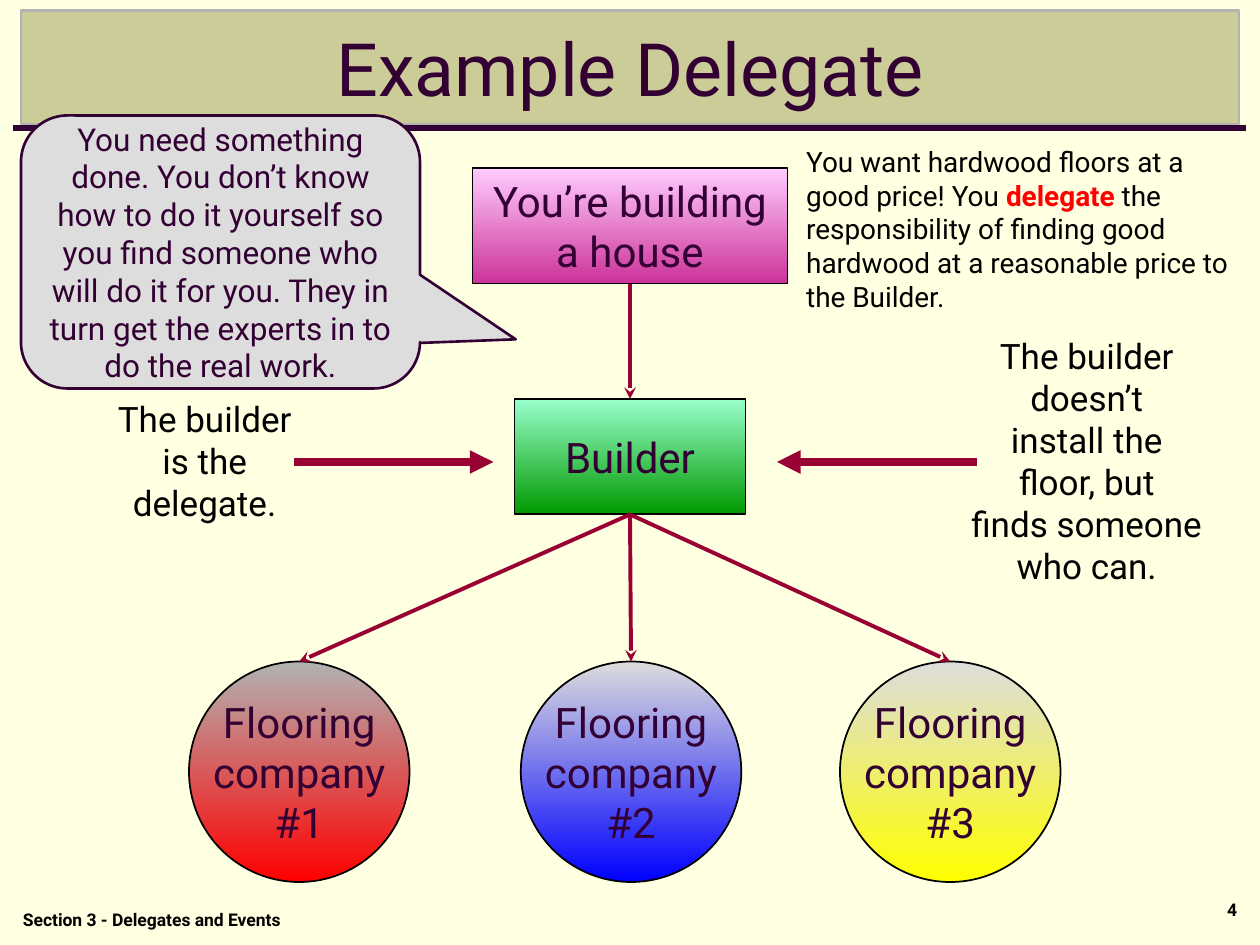
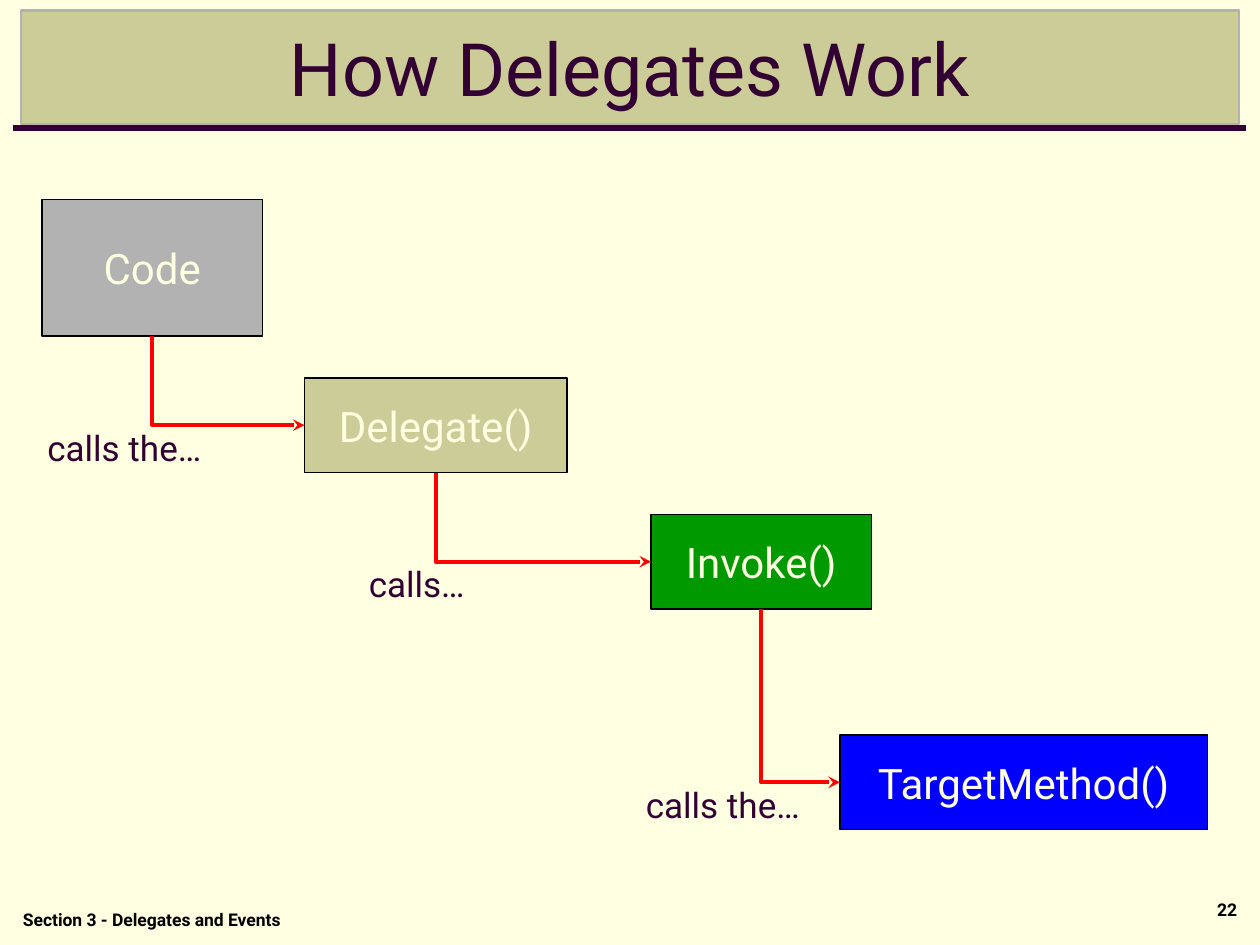
from dataclasses import dataclass
from typing import NamedTuple

from pptx import Presentation
from pptx.dml.color import RGBColor
from pptx.enum.shapes import MSO_CONNECTOR, MSO_SHAPE
from pptx.enum.text import MSO_ANCHOR, MSO_AUTO_SIZE, PP_ALIGN
from pptx.oxml.ns import qn
from pptx.util import Emu, Pt

PX = 7620
TOP, BOTTOM = 0, 2


@dataclass(frozen=True)
class Theme:
    """Colours, font and type sizes of the deck."""
    font: str = "Roboto"
    paper: str = "FFFFE1"
    plum: str = "330033"
    khaki: str = "CCCC99"
    silver: str = "B2B2B2"
    pale: str = "DDDDDD"
    black: str = "000000"
    red: str = "FF0000"
    blue: str = "0000FF"
    yellow: str = "FFFF00"
    green: str = "009900"
    mint: str = "99FFCC"
    pink: str = "FFCCFF"
    magenta: str = "CC3399"
    crimson: str = "990033"
    title: int = 42
    node: int = 24
    label: int = 20
    callout: int = 18
    note: int = 16
    footer: int = 10


T = Theme()


class Box(NamedTuple):
    """A rectangle in px."""
    x: int
    y: int
    w: int
    h: int


class Run(NamedTuple):
    """A piece of text in one format."""
    text: str
    color: str
    bold: bool = False


class Node(NamedTuple):
    """A shape with centred text and one or two fill colours."""
    box: Box
    lines: list[str]
    fill: tuple[str, ...]
    kind: MSO_SHAPE = MSO_SHAPE.RECTANGLE
    ink: str = T.plum
    size: int = T.node
    edge: str = T.black
    weight: float = 1
    wrap: bool = False


class Label(NamedTuple):
    """A text box holding one list of runs per paragraph."""
    box: Box
    paras: list[list[Run]]
    size: int = T.label
    align: PP_ALIGN = PP_ALIGN.CENTER
    wrap: bool = False
    grow: bool = True


def rgb(code: str) -> RGBColor:
    """Turn a hex code into a colour."""
    return RGBColor.from_string(code)


def emu(*lengths: int) -> list[Emu]:
    """Scale px lengths to EMU."""
    return [Emu(round(n * PX)) for n in lengths]


def plain(lines: list[str], color: str) -> list[list[Run]]:
    """Make one single-run paragraph of each line."""
    return [[Run(line, color)] for line in lines]


def write(tf, paras: list[list[Run]], size: int, align: PP_ALIGN) -> None:
    """Fill a text frame run by run."""
    for i, runs in enumerate(paras):
        p = tf.add_paragraph() if i else tf.paragraphs[0]
        p.alignment = align
        for run in runs:
            r = p.add_run()
            r.text = run.text
            r.font.name, r.font.size, r.font.bold = T.font, Pt(size), run.bold
            r.font.color.rgb = rgb(run.color)


def paint(sp, fill: tuple[str, ...], edge: str, weight: float) -> None:
    """Give a shape a solid or top-to-bottom gradient fill and an outline."""
    if len(fill) == 1:
        sp.fill.solid()
        sp.fill.fore_color.rgb = rgb(fill[0])
    else:
        sp.fill.gradient()
        sp.fill.gradient_angle = 270
        for stop, color in zip(sp.fill.gradient_stops, fill):
            stop.color.rgb = rgb(color)
    sp.line.color.rgb = rgb(edge)
    sp.line.width = Pt(weight)


def add_node(s, node: Node):
    """Draw a node and return its shape."""
    sp = s.shapes.add_shape(node.kind, *emu(*node.box))
    sp.shadow.inherit = False
    paint(sp, node.fill, node.edge, node.weight)
    tf = sp.text_frame
    tf.word_wrap = node.wrap
    tf.vertical_anchor = MSO_ANCHOR.MIDDLE
    write(tf, plain(node.lines, node.ink), node.size, PP_ALIGN.CENTER)
    return sp


def add_label(s, label: Label) -> None:
    """Draw a text box."""
    tf = s.shapes.add_textbox(*emu(*label.box)).text_frame
    tf.word_wrap = label.wrap
    tf.auto_size = MSO_AUTO_SIZE.SHAPE_TO_FIT_TEXT if label.grow else MSO_AUTO_SIZE.NONE
    write(tf, label.paras, label.size, label.align)


def add_line(s, ends: tuple[int, ...], color: str, weight: float, head: str = "",
             kind: MSO_CONNECTOR = MSO_CONNECTOR.STRAIGHT):
    """Draw a connector, with an arrowhead at its end if named."""
    c = s.shapes.add_connector(kind, *emu(*ends))
    c.line.color.rgb = rgb(color)
    c.line.width = Pt(weight)
    if head:
        ln = c.line._get_or_add_ln()
        ln.append(ln.makeelement(qn("a:tailEnd"), {"type": head}))
    pr = c._element.spPr
    pr.append(pr.makeelement(qn("a:effectLst"), {}))
    return c


def join(s, upper, lower) -> None:
    """Point an arrow from the bottom of one shape to the top of another."""
    c = add_line(s, (0, 0, 0, 0), T.crimson, 2.25, "stealth")
    c.begin_connect(upper, BOTTOM)
    c.end_connect(lower, TOP)


def add_step(s, a: Box, b: Box) -> None:
    """Draw an elbow arrow from the bottom of one box to the left of the next."""
    x, y = a.x + a.w / 2, a.y + a.h
    dx, dy = b.x - x, b.y + b.h / 2 - y
    left, top = x + (dx - dy) / 2, y + (dy - dx) / 2
    c = add_line(s, (left + dy, top, left, top + dx), T.red, 2.25, "stealth",
                 MSO_CONNECTOR.ELBOW)
    c._element.spPr.find(qn("a:prstGeom")).set("prst", "bentConnector2")
    c.rotation = 270


def add_slide(prs, title: str, number: int):
    """Start a slide with the title band, rule, footer and number."""
    s = prs.slides.add_slide(prs.slide_layouts[5])
    sp = s.shapes.title
    sp.left, sp.top, sp.width, sp.height = emu(20, 10, 1160, 108)
    paint(sp, (T.khaki,), T.silver, 1.5)
    tf = sp.text_frame
    tf.auto_size = MSO_AUTO_SIZE.NONE
    tf.vertical_anchor = MSO_ANCHOR.MIDDLE
    write(tf, plain([title], T.plum), T.title, PP_ALIGN.CENTER)
    add_line(s, (12, 122, 1187, 122), T.plum, 3)
    for box, text, align in (
        (Box(10, 860, 390, 30), "Section 3 - Delegates and Events", PP_ALIGN.LEFT),
        (Box(940, 850, 250, 40), str(number), PP_ALIGN.RIGHT),
    ):
        add_label(s, Label(box, [[Run(text, T.black, True)]], T.footer, align, True, False))
    return s


def example_slide(prs) -> None:
    """Build the house-building example."""
    s = add_slide(prs, "Example Delegate", 4)
    add_label(s, Label(Box(756, 132, 430, 173), [[
        Run("You want hardwood floors at a good price! You ", T.black),
        Run("delegate", T.red, True),
        Run(" the responsibility of finding good hardwood at a reasonable price "
            "to the Builder.", T.black),
    ]], T.note, PP_ALIGN.LEFT, True))
    add_label(s, Label(Box(94, 373, 202, 132),
                       plain(["The builder", "is the", "delegate."], T.black)))
    add_label(s, Label(Box(907, 313, 256, 252), plain(
        ["The builder", "doesn’t", "install the", "floor, but", "finds someone", "who can."],
        T.black)))
    callout = add_node(s, Node(
        Box(20, 110, 380, 260),
        ["You need something done. You don’t know how to do it yourself so you find "
         "someone who will do it for you. They in turn get the experts in to do the "
         "real work."],
        (T.pale,), MSO_SHAPE.ROUNDED_RECTANGULAR_CALLOUT, size=T.callout,
        edge=T.plum, weight=1.5, wrap=True))
    for i, value in enumerate((0.74, 0.32, 0.17)):
        callout.adjustments[i] = value

    house = add_node(s, Node(Box(450, 160, 300, 110), ["You’re building", "a house"],
                             (T.pink, T.magenta)))
    builder = add_node(s, Node(Box(490, 380, 220, 110), ["Builder"], (T.mint, T.green)))
    fills = ((T.silver, T.red), (T.pale, T.blue), (T.pale, T.yellow))
    companies = [
        add_node(s, Node(Box(x, 630, 210, 210), ["Flooring", "company", f"#{i}"], fill,
                         MSO_SHAPE.OVAL))
        for i, (x, fill) in enumerate(zip((180, 496, 800), fills), 1)
    ]
    join(s, house, builder)
    for company in companies:
        join(s, builder, company)
    for start, end in ((280, 470), (930, 740)):
        add_line(s, (start, 440, end, 440), T.crimson, 4.5, "triangle")


def calls_slide(prs) -> None:
    """Build the staircase of calls."""
    s = add_slide(prs, "How Delegates Work", 22)
    steps = [
        (Box(40, 190, 210, 130), "Code", T.silver),
        (Box(290, 360, 250, 90), "Delegate()", T.khaki),
        (Box(620, 490, 210, 90), "Invoke()", T.green),
        (Box(800, 700, 350, 90), "TargetMethod()", T.blue),
    ]
    for box, text, fill in steps:
        add_node(s, Node(box, [text], (fill,), ink=T.paper, weight=0.75))
    for (a, *_), (b, *_) in zip(steps, steps[1:]):
        add_step(s, a, b)
    for box, text in ((Box(29, 400, 179, 53), "calls the…"),
                      (Box(338, 530, 118, 53), "calls…"),
                      (Box(599, 740, 179, 53), "calls the…")):
        add_label(s, Label(box, plain([text], T.plum)))


def main() -> None:
    """Build and save the deck."""
    prs = Presentation()
    prs.slide_width, prs.slide_height = emu(1200, 900)
    fill = prs.slide_master.background.fill
    fill.solid()
    fill.fore_color.rgb = rgb(T.paper)
    example_slide(prs)
    calls_slide(prs)
    prs.save("out.pptx")


if __name__ == "__main__":
    main()
